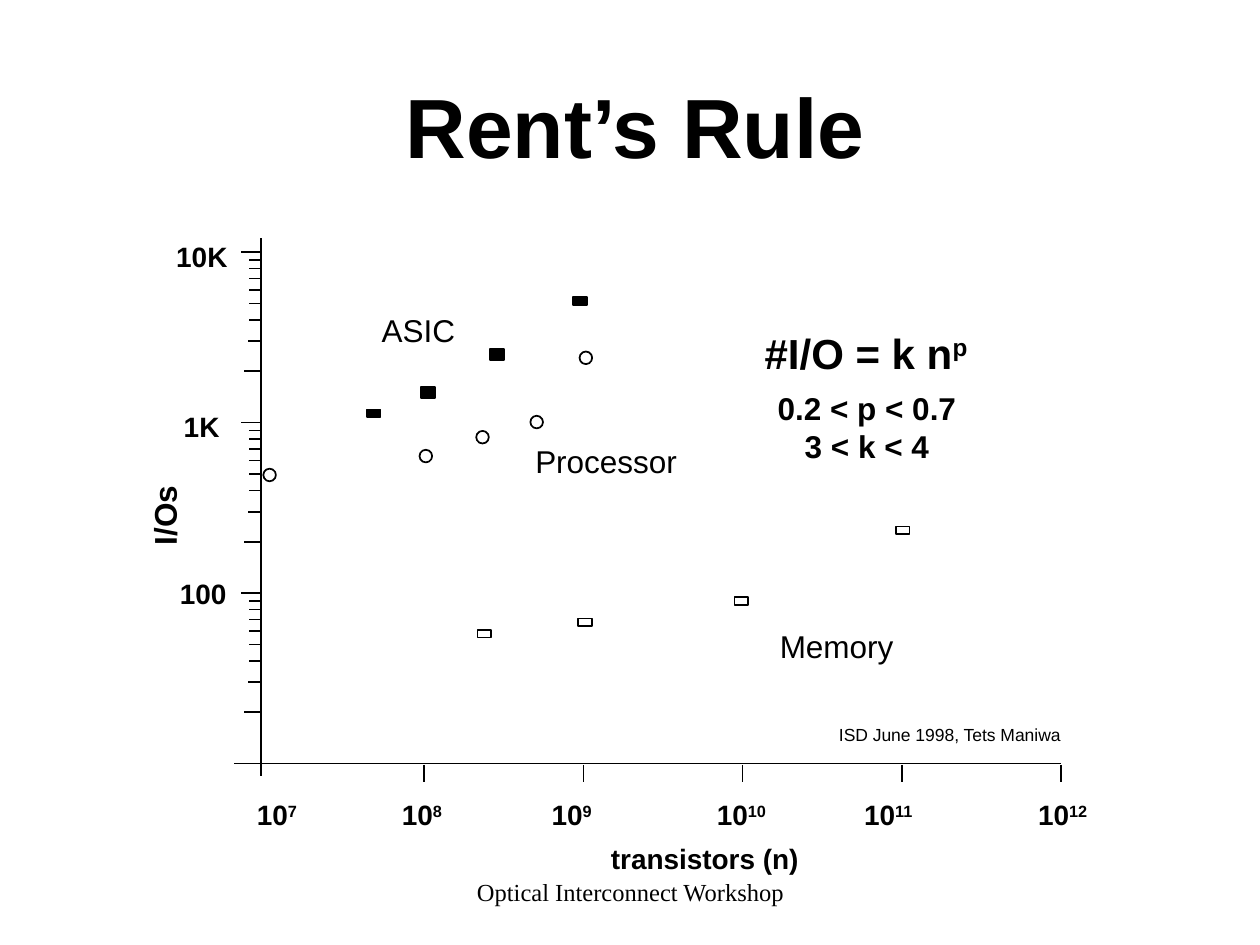
from dataclasses import dataclass
from math import log10

from lxml.etree import SubElement
from pptx import Presentation
from pptx.dml.color import RGBColor
from pptx.enum.shapes import MSO_CONNECTOR, MSO_SHAPE
from pptx.enum.text import MSO_ANCHOR, MSO_AUTO_SIZE, PP_ALIGN
from pptx.oxml.ns import qn
from pptx.util import Inches, Pt


@dataclass(frozen=True)
class Theme:
    ink: RGBColor = RGBColor(0, 0, 0)
    paper: RGBColor = RGBColor(255, 255, 255)
    sans: str = "Arial"
    serif: str = "Times New Roman"
    title: int = 48
    formula: int = 24
    label: int = 18
    tick: int = 16
    footer: int = 14
    source: int = 10
    line: int = 1


def add_span(para, text, *, font, size, color, bold=False, raised=False):
    span = para.add_run()
    span.text = text
    span.font.name = font
    span.font.size = Pt(size)
    span.font.bold = bold
    span.font.color.rgb = color
    if raised:
        span.font._element.set("baseline", "30000")


class Painter:
    def __init__(self, slide, theme):
        self.slide = slide
        self.theme = theme

    def text(self, place, text, size, *, power="", bold=True, font=None,
             align=PP_ALIGN.LEFT, wrap=False, turn=0):
        """Each line of text is a paragraph; power is raised after the last."""
        box = self.slide.shapes.add_textbox(*map(Inches, place))
        box.rotation = turn
        frame = box.text_frame
        frame.word_wrap = wrap
        if wrap:
            frame.vertical_anchor = MSO_ANCHOR.MIDDLE
        else:
            frame.auto_size = MSO_AUTO_SIZE.SHAPE_TO_FIT_TEXT
        style = dict(font=font or self.theme.sans, size=size,
                     color=self.theme.ink, bold=bold)
        for index, line in enumerate(text.split("\n")):
            para = frame.add_paragraph() if index else frame.paragraphs[0]
            para.alignment = align
            add_span(para, line, **style)
        if power:
            add_span(para, power, raised=True, **style)

    def line(self, x1, y1, x2, y2):
        line = self.slide.shapes.add_connector(
            MSO_CONNECTOR.STRAIGHT, *map(Inches, (x1, y1, x2, y2)))
        line.line.color.rgb = self.theme.ink
        line.line.width = Pt(self.theme.line)
        SubElement(line._element.spPr, qn("a:effectLst"))

    def marker(self, kind, fill, left, top, width, height):
        shape = self.slide.shapes.add_shape(
            kind, *map(Inches, (left, top, width, height)))
        shape.shadow.inherit = False
        shape.fill.solid()
        shape.fill.fore_color.rgb = fill
        shape.line.color.rgb = self.theme.ink
        shape.line.width = Pt(self.theme.line)


def draw_axes(painter):
    size = painter.theme.tick
    axis_x, axis_y, right = 2.07, 6.06, 8.42
    decade_width, decade_height = 1.263, 1.353

    # Horizontal axis, one tick and label per power of ten
    painter.line(axis_x, axis_y, right, axis_y)
    painter.line(axis_x, axis_y, axis_x, 6.16)
    label_lefts = {7: 1.94, 8: 3.09, 9: 4.28, 10: 5.59, 11: 6.76, 12: 8.14}
    for exponent, left in label_lefts.items():
        if exponent > 7:
            x = right - (12 - exponent) * decade_width
            painter.line(x, 6.07, x, 6.21)
        width = 0.52 if exponent < 10 else 0.59
        painter.text((left, 6.28, width, 0.36), "10", size, power=str(exponent))
    painter.text((4.75, 6.63, 1.69, 0.36), "transistors (n)", size)

    # Vertical axis with logarithmic ticks over three decades
    painter.line(axis_x, 6.1, axis_x, 1.89)
    painter.line(axis_x, axis_y, 1.86, axis_y)
    tick_lengths = {2: 0.13, 3: 0.1, 10: 0.16}
    for decade in range(3):
        for step in range(2, 11):
            y = axis_y - (decade + log10(step)) * decade_height
            painter.line(axis_x, y, axis_x - tick_lengths.get(step, 0.09), y)
    for text, left, top, width in (("10K", 1.3, 1.85, 0.61),
                                   ("1K", 1.36, 3.2, 0.48),
                                   ("100", 1.33, 4.53, 0.57)):
        painter.text((left, top, width, 0.36), text, size)
    painter.text((0.97, 3.89, 0.67, 0.4), "I/Os", painter.theme.label, turn=270)


def draw_series(painter):
    theme = painter.theme
    # Processor
    for left, top in ((2.09, 3.72), (3.33, 3.57), (3.78, 3.42),
                      (4.21, 3.3), (4.6, 2.79)):
        painter.marker(MSO_SHAPE.OVAL, theme.paper, left, top, 0.1, 0.1)
    # ASIC
    for left, top, height in ((2.91, 3.25, 0.06), (3.34, 3.07, 0.09),
                              (3.89, 2.77, 0.09), (4.55, 2.36, 0.06)):
        painter.marker(MSO_SHAPE.RECTANGLE, theme.ink, left, top, 0.11, height)
    # Memory
    for left, top in ((3.79, 5), (4.59, 4.91), (5.83, 4.74), (7.11, 4.18)):
        painter.marker(MSO_SHAPE.RECTANGLE, theme.paper, left, top, 0.11, 0.06)
    # Series names
    for text, left, top, width in (("ASIC", 2.93, 2.42, 0.79),
                                   ("Processor", 4.15, 3.46, 1.33),
                                   ("Memory", 6.09, 4.93, 1.11)):
        painter.text((left, top, width, 0.4), text, theme.label, bold=False)


def main():
    deck = Presentation()
    deck.slide_width, deck.slide_height = Inches(10), Inches(7.5)
    page = deck.slides.add_slide(deck.slide_layouts[6])
    theme = Theme()
    painter = Painter(page, theme)

    # Title
    painter.text((0.79, 0.37, 8.5, 1.25), "Rent’s Rule", theme.title,
                 align=PP_ALIGN.CENTER, wrap=True)

    # Plot
    draw_axes(painter)
    draw_series(painter)

    # Formula and its limits
    painter.text((5.97, 2.55, 1.81, 0.5), "#I/O = k n", theme.formula, power="p")
    painter.text((6.07, 3.04, 1.62, 0.7), "0.2 < p < 0.7\n3 < k < 4",
                 theme.label, align=PP_ALIGN.CENTER)

    # Source and footer
    painter.text((6.56, 5.7, 1.98, 0.27), "ISD June 1998, Tets Maniwa",
                 theme.source, bold=False)
    painter.text((3.42, 6.83, 3.17, 0.5), "Optical Interconnect Workshop",
                 theme.footer, bold=False, font=theme.serif,
                 align=PP_ALIGN.CENTER, wrap=True)

    deck.save("out.pptx")


if __name__ == "__main__":
    main()
